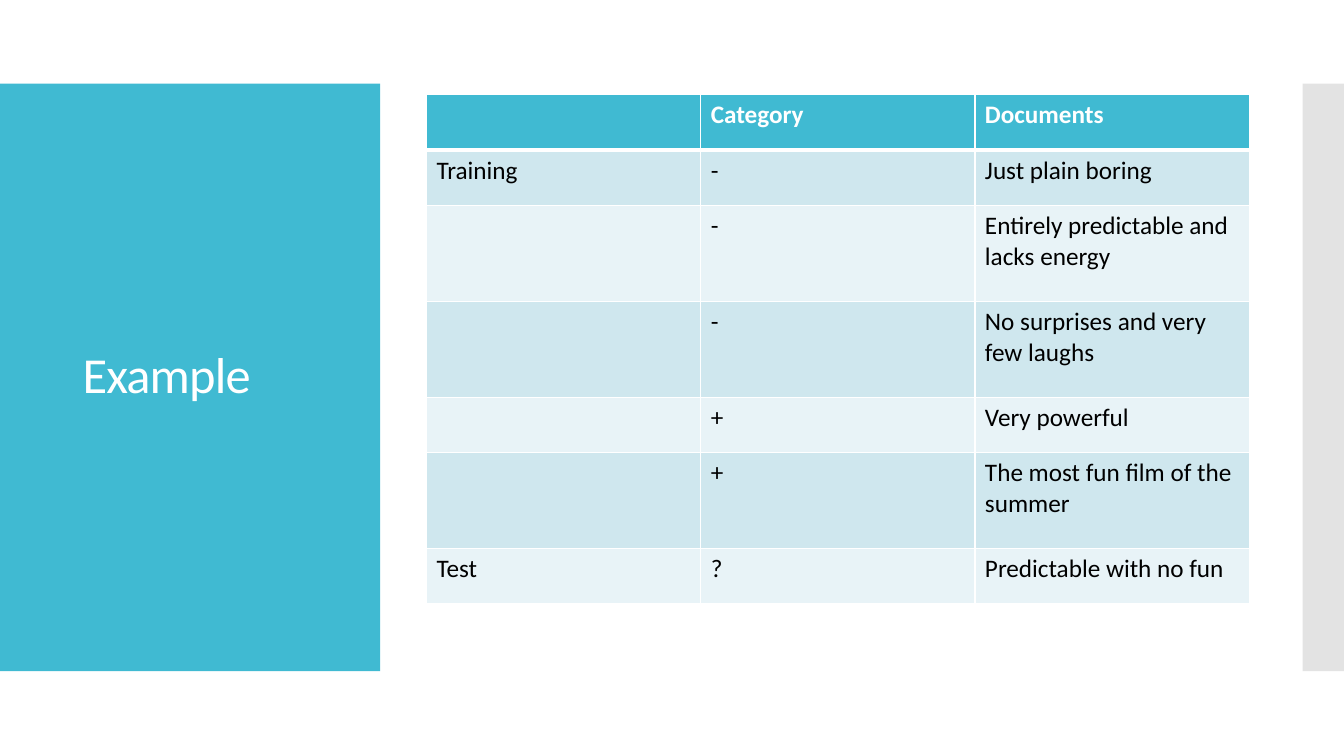
from lxml import etree
from pptx import Presentation
from pptx.dml.color import RGBColor
from pptx.enum.shapes import MSO_SHAPE as Shape
from pptx.enum.text import MSO_ANCHOR as Anchor
from pptx.oxml.ns import qn
from pptx.util import Inches, Pt

COLORS = {
    "accent": "40BAD2",
    "edge": "C8C8C8",
    "band_dark": "CFE7EE",
    "band_light": "E8F3F7",
    "white": "FFFFFF",
    "black": "000000",
}
FONT = "Calibri"
ROWS = [
    ("", "Category", "Documents"),
    ("Training", "-", "Just plain boring"),
    ("", "-", "Entirely predictable and lacks energy"),
    ("", "-", "No surprises and very few laughs"),
    ("", "+", "Very powerful"),
    ("", "+", "The most fun film of the summer"),
    ("Test", "?", "Predictable with no fun"),
]
ROW_HEIGHTS = [0.55, 0.55, 0.95, 0.95, 0.55, 0.95, 0.55]


def rgb(name):
    return RGBColor.from_string(COLORS[name])


def format_font(font, color, **values):
    font.color.rgb = rgb(color)
    for name, value in {"name": FONT, **values}.items():
        setattr(font, name, value)


def add_panel(slide, box, color, opacity=100):
    panel = slide.shapes.add_shape(Shape.RECTANGLE, *map(Inches, box))
    panel.shadow.inherit = False
    panel.fill.solid()
    panel.fill.fore_color.rgb = rgb(color)
    panel.line.fill.background()
    if opacity < 100:
        fill_color = panel._element.spPr.find(f".//{qn('a:srgbClr')}")
        etree.SubElement(fill_color, qn("a:alpha"), val=str(opacity * 1000))


def add_title(slide, box, text):
    frame = slide.shapes.add_textbox(*map(Inches, box)).text_frame
    frame.word_wrap = True
    frame.vertical_anchor = Anchor.MIDDLE
    paragraph = frame.paragraphs[0]
    paragraph.line_spacing = 0.9
    run = paragraph.add_run()
    run.text = text
    format_font(run.font, "white", size=Pt(36))
    run.font._element.set("spc", "-60")


def add_border(cell, side, points):
    properties = cell._tc.get_or_add_tcPr()
    line = etree.SubElement(properties, qn(f"a:ln{side}"), w=str(Pt(points)))
    fill = etree.SubElement(line, qn("a:solidFill"))
    etree.SubElement(fill, qn("a:srgbClr"), val=COLORS["white"])


def fill_cell(cell, text, row):
    """Borders come before the fill, as the schema orders them."""
    header = row == 0
    widths = {"L": 1, "R": 1, "T": 3 if row == 1 else 1, "B": 3 if header else 1}
    for side, points in widths.items():
        add_border(cell, side, points)
    cell.fill.solid()
    band = "band_dark" if row % 2 else "band_light"
    cell.fill.fore_color.rgb = rgb("accent" if header else band)
    cell.text = text
    format_font(cell.text_frame.paragraphs[0].font,
                "white" if header else "black", size=Pt(18), bold=header)


def add_documents_table(slide, box):
    frame = slide.shapes.add_table(len(ROWS), len(ROWS[0]), *map(Inches, box))
    table = frame.table
    for column in table.columns:
        column.width = Inches(box[2] / len(ROWS[0]))
    for index, (texts, height) in enumerate(zip(ROWS, ROW_HEIGHTS)):
        table.rows[index].height = Inches(height)
        for cell, text in zip(table.rows[index].cells, texts):
            fill_cell(cell, text, index)


def main():
    presentation = Presentation()
    presentation.slide_width = Inches(13.33)
    presentation.slide_height = Inches(7.5)
    slide = presentation.slides.add_slide(presentation.slide_layouts[6])
    add_panel(slide, (0, 0.83, 3.77, 5.83), "accent")
    add_panel(slide, (12.92, 0.83, 0.41, 5.83), "edge", opacity=50)
    add_title(slide, (0.72, 1.23, 3.22, 5.03), "Example")
    add_documents_table(slide, (4.23, 0.94, 8.16, sum(ROW_HEIGHTS)))
    presentation.save("out.pptx")


if __name__ == "__main__":
    main()
